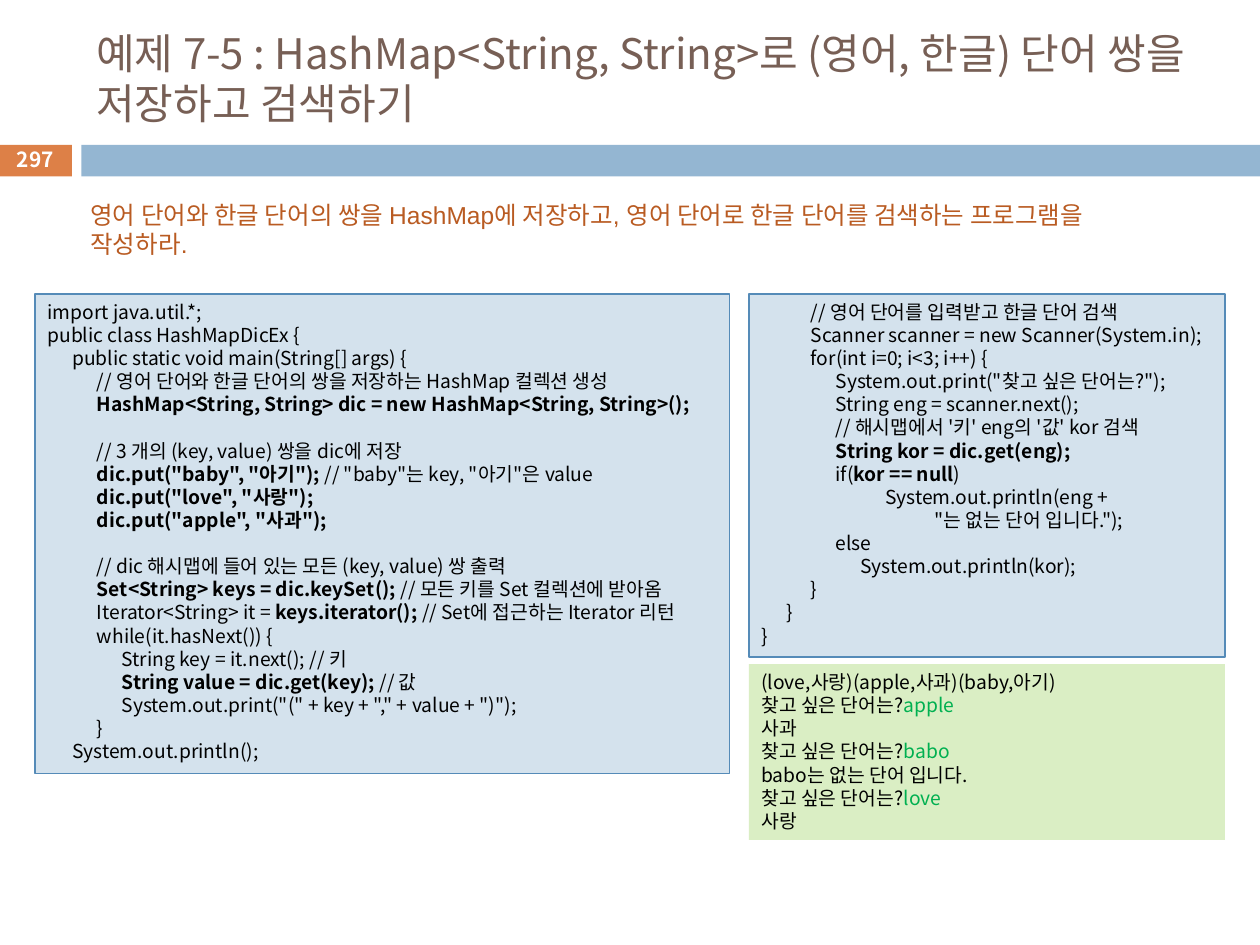
from dataclasses import dataclass
from typing import Optional

import lxml.etree
import pptx
import pptx.dml.color
import pptx.enum.shapes
import pptx.enum.text
import pptx.oxml.ns
import pptx.util

Pt = pptx.util.Pt
RGBColor = pptx.dml.color.RGBColor
Align = pptx.enum.text.PP_ALIGN
Anchor = pptx.enum.text.MSO_ANCHOR
qn = pptx.oxml.ns.qn

BLACK = RGBColor(0x00, 0x00, 0x00)
WHITE = RGBColor(0xFF, 0xFF, 0xFF)
BROWN = RGBColor(0x77, 0x5F, 0x55)
RUST = RGBColor(0xB9, 0x5B, 0x22)
ORANGE = RGBColor(0xDD, 0x80, 0x47)
BLUE = RGBColor(0x94, 0xB6, 0xD2)
PALE = RGBColor(0xD4, 0xE2, 0xED)
EDGE = RGBColor(0x55, 0x8B, 0xB8)
LIME = RGBColor(0xDA, 0xEE, 0xC4)
GREEN = RGBColor(0x00, 0xB0, 0x50)

SANS = "Noto Sans CJK KR"
TAB = 14.15
MARK = "|"


@dataclass(frozen=True)
class Area:
    left: float
    top: float
    width: float
    height: float


@dataclass(frozen=True)
class Style:
    size: float
    pitch: float
    color: RGBColor = BLACK
    face: str = SANS
    bold: Optional[bool] = None
    align: Align = Align.LEFT
    anchor: Anchor = Anchor.TOP
    accent: Optional[RGBColor] = None


@dataclass(frozen=True)
class Line:
    depth: int
    text: str
    gap: bool = False


@dataclass(frozen=True)
class Panel:
    area: Area
    fill: RGBColor
    edge: Optional[RGBColor]
    style: Style
    lines: list[Line]


CODE = Style(11, 13.2)
SHELL = Style(11, 13.2, accent=GREEN)
TITLE = Style(24, 28.8, BROWN, anchor=Anchor.MIDDLE)
TASK = Style(14, 16.2, RUST, "Arial")
PAGE = Style(11.9, 14.3, WHITE, bold=True, align=Align.CENTER, anchor=Anchor.MIDDLE)

STORE = [
    Line(0, "import java.util.*;"),
    Line(0, "public class HashMapDicEx {"),
    Line(1, "public static void main(String[] args) {"),
    Line(2, "// 영어 단어와 한글 단어의 쌍을 저장하는 HashMap 컬렉션 생성"),
    Line(2, "|HashMap<String, String> dic = new HashMap<String, String>();"),
    Line(2, "// 3 개의 (key, value) 쌍을 dic에 저장", True),
    Line(2, '|dic.put("baby", "아기");| // "baby"는 key, "아기"은 value'),
    Line(2, '|dic.put("love", "사랑");'),
    Line(2, '|dic.put("apple", "사과");'),
    Line(2, "// dic 해시맵에 들어 있는 모든 (key, value) 쌍 출력", True),
    Line(2, "|Set<String> keys = dic.keySet();| // 모든 키를 Set 컬렉션에 받아옴"),
    Line(2, "Iterator<String> it = |keys.iterator(); |// Set에 접근하는 Iterator 리턴"),
    Line(2, "while(it.hasNext()) {"),
    Line(3, "String key = it.next(); // 키"),
    Line(3, "|String value = dic.get(key); |// 값"),
    Line(3, 'System.out.print("(" + key + "," + value + ")");'),
    Line(2, "}"),
    Line(1, "System.out.println();"),
]
SEARCH = [
    Line(2, "// 영어 단어를 입력받고 한글 단어 검색"),
    Line(2, "Scanner scanner = new Scanner(System.in);"),
    Line(2, "for(int i=0; i<3; i++) {"),
    Line(3, 'System.out.print("찾고 싶은 단어는?");'),
    Line(3, "String eng = scanner.next();"),
    Line(3, "// 해시맵에서 '키' eng의 '값' kor 검색"),
    Line(3, "|String kor = dic.get(eng);"),
    Line(3, "if(|kor == null|)"),
    Line(5, "System.out.println(eng +"),
    Line(7, '"는 없는 단어 입니다.");'),
    Line(3, "else"),
    Line(4, "System.out.println(kor);"),
    Line(2, "}"),
    Line(1, "}"),
    Line(0, "}"),
]
RESULT = [
    Line(0, "(love,사랑)(apple,사과)(baby,아기)"),
    Line(0, "찾고 싶은 단어는?|apple"),
    Line(0, "사과"),
    Line(0, "찾고 싶은 단어는?|babo"),
    Line(0, "babo는 없는 단어 입니다."),
    Line(0, "찾고 싶은 단어는?|love"),
    Line(0, "사랑"),
]
PANELS = [
    Panel(Area(20, 168, 397, 274), PALE, EDGE, CODE, STORE),
    Panel(Area(428, 168, 272, 207.5), PALE, EDGE, CODE, SEARCH),
    Panel(Area(428, 379.5, 272, 100.5), LIME, None, SHELL, RESULT),
]
BARS = [
    (Area(-0.7, 82.8, 41.8, 18), ORANGE),
    (Area(46.5, 82.8, 673.5, 18), BLUE),
]
NOTES = [
    (Area(48, 18, 642, 53), TITLE,
     "예제 7-5 : HashMap<String, String>로 (영어, 한글) 단어 쌍을 저장하고 검색하기"),
    (Area(-0.7, 81.4, 41.8, 19.4), PAGE, "297"),
    (Area(44.6, 111.6, 627, 41), TASK,
     "영어 단어와 한글 단어의 쌍을 HashMap에 저장하고, "
     "영어 단어로 한글 단어를 검색하는 프로그램을 작성하라."),
]


def place(area: Area) -> tuple:
    return Pt(area.left), Pt(area.top), Pt(area.width), Pt(area.height)


def add_tabs(para, depth: int) -> None:
    tabs = lxml.etree.SubElement(para._p.get_or_add_pPr(), qn("a:tabLst"))
    for step in range(1, depth + 1):
        lxml.etree.SubElement(
            tabs, qn("a:tab"), pos=str(int(Pt(TAB * step))), algn="l")


def write(frame, lines: list[Line], style: Style) -> None:
    frame.word_wrap = True
    frame.vertical_anchor = style.anchor
    for index, line in enumerate(lines):
        para = frame.add_paragraph() if index else frame.paragraphs[0]
        if line.depth:
            add_tabs(para, line.depth)
        para.alignment = style.align
        para.line_spacing = Pt(style.pitch)
        if line.gap:
            para.space_before = Pt(style.pitch)
        font = para.font
        font.size = Pt(style.size)
        font.name = style.face
        font.bold = style.bold
        font.color.rgb = style.color
        base = para._p.pPr.find(qn("a:defRPr"))
        lxml.etree.SubElement(base, qn("a:ea"), typeface=SANS)
        parts = ("\t" * line.depth + line.text).split(MARK)
        for turn, part in enumerate(parts):
            if not part:
                continue
            run = para.add_run()
            run.text = part
            if turn % 2 and style.accent:
                run.font.color.rgb = style.accent
            elif turn % 2:
                run.font.bold = True


def add_box(slide, area: Area, fill: RGBColor, edge: Optional[RGBColor] = None):
    box = slide.shapes.add_shape(
        pptx.enum.shapes.MSO_SHAPE.RECTANGLE, *place(area))
    box.shadow.inherit = False
    box.fill.solid()
    box.fill.fore_color.rgb = fill
    if edge:
        box.line.color.rgb = edge
        box.line.width = Pt(0.75)
    else:
        box.line.fill.background()
    return box


def main() -> None:
    deck = pptx.Presentation()
    deck.slide_width, deck.slide_height = Pt(720), Pt(540)
    slide = deck.slides.add_slide(deck.slide_layouts[6])
    for area, fill in BARS:
        add_box(slide, area, fill)
    for area, style, text in NOTES:
        note = slide.shapes.add_textbox(*place(area))
        write(note.text_frame, [Line(0, text)], style)
    for panel in PANELS:
        box = add_box(slide, panel.area, panel.fill, panel.edge)
        write(box.text_frame, panel.lines, panel.style)
    deck.save("out.pptx")


if __name__ == "__main__":
    main()
